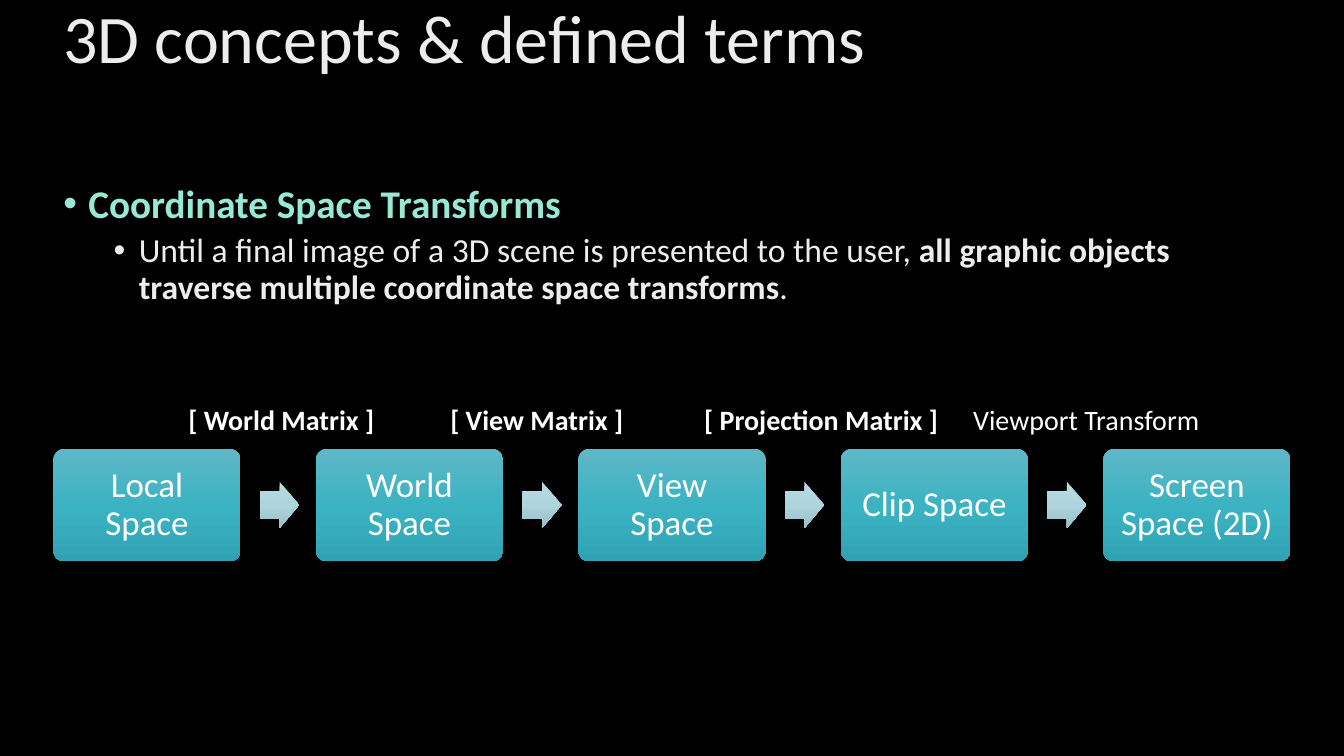
from lxml import etree
from pptx import Presentation
from pptx.dml.color import RGBColor
from pptx.enum.shapes import MSO_SHAPE as Shape
from pptx.enum.text import MSO_ANCHOR as Anchor, PP_ALIGN as Align
from pptx.oxml import parse_xml
from pptx.oxml.ns import nsdecls, qn
from pptx.util import Inches, Pt

WIDTH, HEIGHT = 13.34, 7.5
LEFT = 0.53
PITCH = 2.605  # from one stage of the pipeline to the next
STAGE_TOP, STAGE_WIDTH, STAGE_HEIGHT = 4.45, 1.86, 1.12
ARROW_OFFSET, ARROW_WIDTH, ARROW_HEIGHT = 2.05, 0.39, 0.46
LABEL_TOP, LABEL_HEIGHT = 3.99, 0.34

STAGES = ["Local Space", "World Space", "View Space", "Clip Space", "Screen Space (2D)"]
STAGE_COLORS = ["5FB7C5", "3BB3C3", "2FA3B3"]
ARROW_COLORS = ["BAD9E0", "AED5DD", "98BFC7"]
LABELS = [  # text, left, width, bold
    ("[ World Matrix ]", 1.87, 1.86, True),
    ("[ View Matrix ]", 4.47, 1.73, True),
    ("[ Projection Matrix ]", 6.99, 2.34, True),
    ("Viewport Transform", 9.66, 2.27, False),
]
BULLETS = [  # level, indent, space before, size, runs of (text, bold, color)
    (0, 0.25, 0, 28, [("Coordinate Space Transforms", True, "97E9D5")]),
    (1, 0.75, 5, 24, [
        ("Until a final image of a 3D scene is presented to the user, ", False, "EDEDED"),
        ("all graphic objects traverse multiple coordinate space transforms", True, "EDEDED"),
        (".", False, "EDEDED"),
    ]),
]


def add_run(paragraph, text, size, color, bold=False):
    run = paragraph.add_run()
    run.text = text
    for name, value in {"name": "Calibri", "size": Pt(size), "bold": bold}.items():
        setattr(run.font, name, value)
    run.font.color.rgb = RGBColor.from_string(color)


def add_gradient_shape(kind, left, top, width, height, adjustments, colors):
    shape = slide.shapes.add_shape(
        kind, Inches(left), Inches(top), Inches(width), Inches(height))
    for index, value in enumerate(adjustments):
        shape.adjustments[index] = value
    shape.shadow.inherit = False
    shape.line.fill.background()
    stops = "".join(
        f'<a:gs pos="{index * 50000}"><a:srgbClr val="{color}"/></a:gs>'
        for index, color in enumerate(colors))
    gradient = parse_xml(
        f'<a:gradFill {nsdecls("a")}><a:gsLst>{stops}</a:gsLst>'
        '<a:lin ang="5400000" scaled="0"/></a:gradFill>')
    shape._element.spPr.find(qn("a:prstGeom")).addnext(gradient)
    return shape


presentation = Presentation()
presentation.slide_width, presentation.slide_height = Inches(WIDTH), Inches(HEIGHT)
slide = presentation.slides.add_slide(presentation.slide_layouts[6])
slide.background.fill.solid()
slide.background.fill.fore_color.rgb = RGBColor.from_string("000000")

# Title
title = slide.shapes.add_textbox(Inches(LEFT), Inches(0.04), Inches(10), Inches(0.74))
frame = title.text_frame
for name, value in {"word_wrap": True, "vertical_anchor": Anchor.MIDDLE,
                    "margin_top": 0, "margin_bottom": 0}.items():
    setattr(frame, name, value)
frame.paragraphs[0].line_spacing = 0.9
add_run(frame.paragraphs[0], "3D concepts & defined terms", 48.6, "EDEDED")

# Bulleted text
body = slide.shapes.add_textbox(Inches(LEFT), Inches(1.78), Inches(12.2), Inches(1.48))
frame = body.text_frame
frame.word_wrap = True
for index, (level, indent, space, size, runs) in enumerate(BULLETS):
    paragraph = frame.add_paragraph() if index else frame.paragraphs[0]
    for name, value in {"level": level, "line_spacing": 0.9,
                        "space_before": Pt(space)}.items():
        setattr(paragraph, name, value)
    properties = paragraph._p.get_or_add_pPr()
    properties.set("marL", str(Inches(indent)))
    properties.set("indent", str(Inches(-0.25)))
    etree.SubElement(properties, qn("a:buFont"), typeface="Arial")
    etree.SubElement(properties, qn("a:buChar"), char="•")
    for text, bold, color in runs:
        add_run(paragraph, text, size, color, bold)

# Pipeline stages with an arrow between neighbours
for column, text in enumerate(STAGES):
    left = LEFT + column * PITCH
    stage = add_gradient_shape(Shape.ROUNDED_RECTANGLE, left, STAGE_TOP,
                               STAGE_WIDTH, STAGE_HEIGHT, [0.1], STAGE_COLORS)
    frame = stage.text_frame
    for name, value in {"word_wrap": True, "vertical_anchor": Anchor.MIDDLE,
                        "margin_left": Inches(0.12), "margin_right": Inches(0.12)}.items():
        setattr(frame, name, value)
    paragraph = frame.paragraphs[0]
    paragraph.alignment = Align.CENTER
    paragraph.line_spacing = 0.9
    add_run(paragraph, text, 25, "FFFFFF")
    if column < len(STAGES) - 1:
        add_gradient_shape(Shape.RIGHT_ARROW, left + ARROW_OFFSET,
                           STAGE_TOP + (STAGE_HEIGHT - ARROW_HEIGHT) / 2,
                           ARROW_WIDTH, ARROW_HEIGHT, [0.6, 0.5], ARROW_COLORS)

# Transform labels above the arrows
for text, left, width, bold in LABELS:
    label = slide.shapes.add_textbox(
        Inches(left), Inches(LABEL_TOP), Inches(width), Inches(LABEL_HEIGHT))
    frame = label.text_frame
    frame.word_wrap = False
    for side in ("left", "top", "right", "bottom"):
        setattr(frame, f"margin_{side}", 0)
    add_run(frame.paragraphs[0], text, 20, "FFFFFF", bold)

presentation.save("out.pptx")
